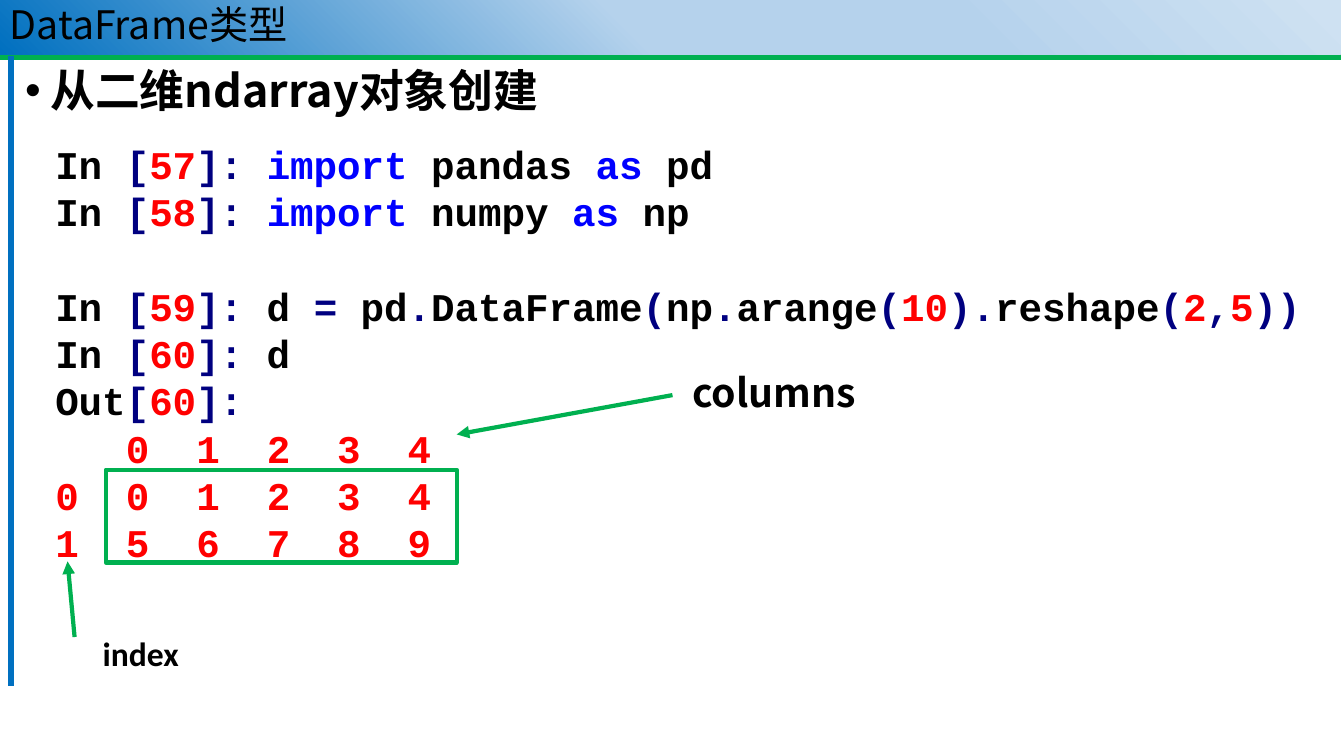
from itertools import groupby

from pptx import Presentation
from pptx.dml.color import RGBColor
from pptx.enum import shapes, text
from pptx.oxml import parse_xml
from pptx.oxml.ns import nsdecls, qn
from pptx.util import Inches, Pt

CJK = "Noto Sans CJK SC"
GREEN, BLUE, BLACK = "00B050", "0070C0", "000000"
TOKEN_COLORS = {"digit": "FF0000", "keyword": "0000FF", "symbol": "000080", "plain": BLACK}


def color(value):
    return RGBColor.from_string(value)


def add_span(para, words, size=28, font=CJK, fill=BLACK, bold=True):
    span = para.add_run()
    span.text = words
    span.font.size = Pt(size)
    span.font.name = font
    span.font.bold = bold
    span.font.color.rgb = color(fill)
    properties = span.font._element
    east_asian = properties.makeelement(qn("a:ea"), {"typeface": font})
    properties.find(qn("a:latin")).addnext(east_asian)


deck = Presentation()
deck.slide_width, deck.slide_height = Inches(13.33), Inches(7.5)
page = deck.slides.add_slide(deck.slide_layouts[6])

# Frame lines and label arrows: start, end, colour, width, arrowhead
lines = [
    ((0, 0.56), (13.3, 0.56), GREEN, 5.25, False),
    ((0.11, 0.56), (0.11, 6.81), BLUE, 3.75, False),
    ((6.67, 3.92), (4.53, 4.31), GREEN, 3, True),
    ((0.74, 6.32), (0.67, 5.57), GREEN, 3, True),
]
for start, end, stroke, width, arrow in lines:
    line = page.shapes.add_connector(
        shapes.MSO_CONNECTOR.STRAIGHT, *[Inches(value) for value in start + end])
    line.line.color.rgb = color(stroke)
    line.line.width = Pt(width)
    if arrow:
        line.line._get_or_add_ln().append(
            parse_xml(f'<a:tailEnd {nsdecls("a")} type="triangle"/>'))
    line._element.spPr.append(parse_xml(f'<a:effectLst {nsdecls("a")}/>'))

# Rectangle around the data values
frame = page.shapes.add_shape(
    shapes.MSO_SHAPE.RECTANGLE, Inches(1.05), Inches(4.66), Inches(3.48), Inches(0.92))
frame.shadow.inherit = False
frame.fill.solid()
frame.fill.fore_color.rgb = color("FFFFFF")
frame.line.color.rgb = color(GREEN)
frame.line.width = Pt(3)

# Title bar with gradient
title = page.shapes.add_shape(
    shapes.MSO_SHAPE.RECTANGLE, 0, 0, Inches(13.3), Inches(0.54))
title.shadow.inherit = False
title.line.fill.background()
stops = "".join(
    f'<a:gs pos="{place * 1000}"><a:srgbClr val="{shade}"/></a:gs>'
    for place, shade in [(1, "CEE1F2"), (29, "B5D2EC"), (53, "B5D2EC"), (100, BLUE)])
title._element.spPr.find(qn("a:prstGeom")).addnext(parse_xml(
    f'<a:gradFill {nsdecls("a")} rotWithShape="1"><a:gsLst>{stops}</a:gsLst>'
    f'<a:lin ang="{135 * 60000}" scaled="0"/></a:gradFill>'))
title.text_frame.vertical_anchor = text.MSO_ANCHOR.MIDDLE
para = title.text_frame.paragraphs[0]
para.alignment = text.PP_ALIGN.LEFT
para.line_spacing = 0.9
add_span(para, "DataFrame类型", bold=False)

# Heading and labels
labels = [
    ("从二维ndarray对象创建", (0.15, 0.63, 11.5, 0.71), 32, CJK),
    ("columns", (6.77, 3.6, 1.86, 0.57), 28, CJK),
    ("index", (0.92, 6.23, 1.17, 0.5), 24, "Calibri"),
]
for words, place, size, font in labels:
    box = page.shapes.add_textbox(*[Inches(value) for value in place])
    box.text_frame.word_wrap = True
    para = box.text_frame.paragraphs[0]
    if size == 32:
        bullet = para._p.get_or_add_pPr()
        bullet.set("marL", str(Inches(0.25)))
        bullet.set("indent", str(Inches(-0.25)))
        bullet.append(parse_xml(f'<a:buFont {nsdecls("a")} typeface="Arial"/>'))
        bullet.append(parse_xml(f'<a:buChar {nsdecls("a")} char="•"/>'))
        para.line_spacing = 0.9
    add_span(para, words, size=size, font=font)

# Console session, coloured by token kind
session = [
    "In [57]: import pandas as pd",
    "In [58]: import numpy as np",
    "In [59]: d = pd.DataFrame(np.arange(10).reshape(2,5))",
    "In [60]: d",
    "Out[60]:",
    "   0  1  2  3  4",
    "0  0  1  2  3  4",
    "1  5  6  7  8  9",
]
PITCH = Pt(33.8)
box = page.shapes.add_textbox(Inches(0.45), Inches(1.34), Inches(12.56), Inches(4.34))
box.text_frame.word_wrap = True
for number, row in enumerate(session):
    para = box.text_frame.paragraphs[0] if number == 0 else box.text_frame.add_paragraph()
    para.line_spacing = PITCH
    if number == 2:
        para.space_before = PITCH
    for kind, letters in groupby(row, lambda letter: (
            "digit" if letter.isdigit() else
            "plain" if letter.isalpha() or letter == " " else "symbol")):
        # Words and the spaces between them are split to find keywords
        for is_space, part in groupby(letters, str.isspace):
            token = "".join(part)
            kind_here = "keyword" if token in ("import", "as") else kind
            add_span(para, token, font="Courier New", fill=TOKEN_COLORS[kind_here])

deck.save("out.pptx")
